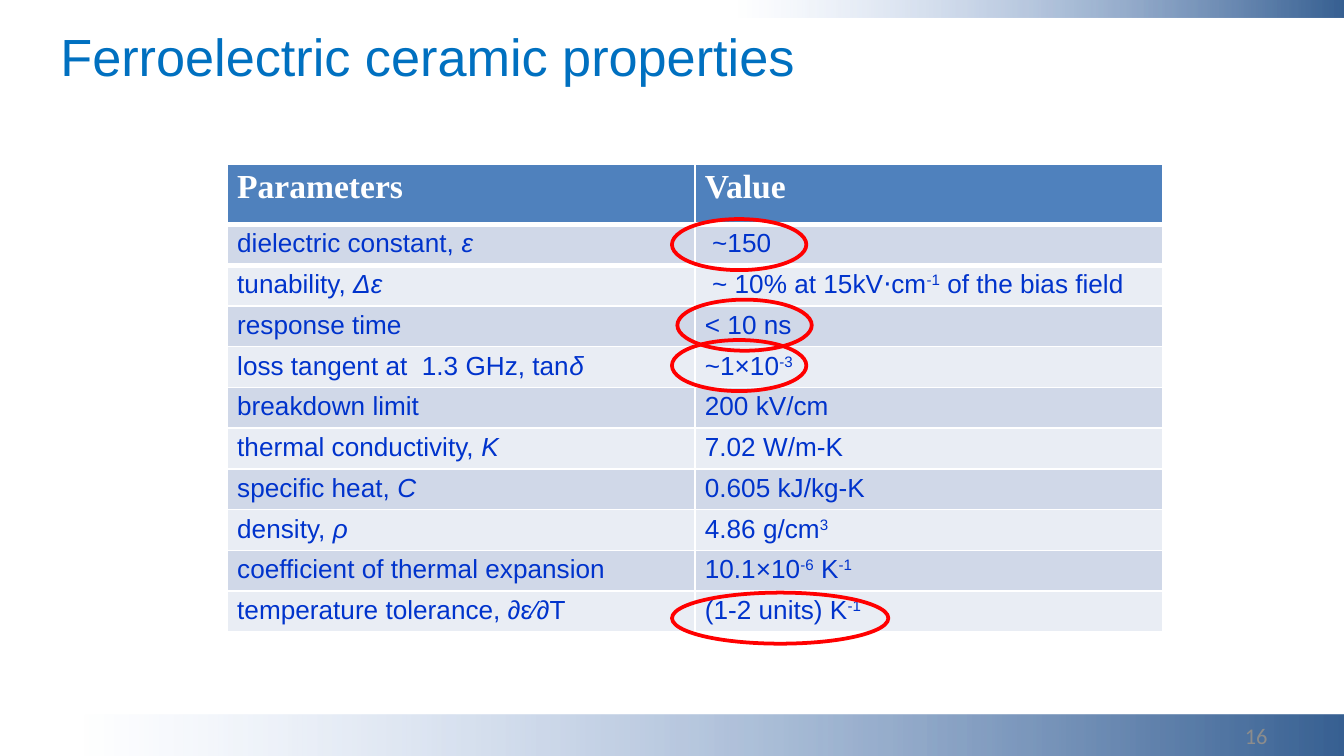
from lxml.etree import SubElement
from pptx import Presentation
from pptx.dml.color import RGBColor
from pptx.enum.shapes import MSO_SHAPE
from pptx.enum.text import MSO_ANCHOR, PP_ALIGN
from pptx.oxml.ns import qn
from pptx.util import Inches, Pt


def rgb(value):
    return RGBColor.from_string(value)


def set_font(font, name, size, color, bold=None):
    font.name, font.size, font.bold = name, Pt(size), bold
    font.color.rgb = rgb(color)


prs = Presentation()
prs.slide_width, prs.slide_height = Inches(10), Inches(10 * 9 / 16)
s = prs.slides.add_slide(prs.slide_layouts[5])

# Top and bottom bands, fading in from the left
for box in [(0.01, 5.32, 10, 0.31), (5.2, 0, 4.8, 0.13)]:
    band = s.shapes.add_shape(MSO_SHAPE.RECTANGLE, *map(Inches, box))
    band.shadow.inherit = False
    band.line.fill.background()
    band.fill.gradient()
    band.fill.gradient_angle = 0
    start, end = band.fill.gradient_stops
    start.position, end.position = 0.06, 1
    start.color.rgb, end.color.rgb = rgb("9AB5E4"), rgb("376092")
    first_color = next(band.fill._xPr.iter(qn("a:srgbClr")))
    SubElement(first_color, qn("a:alpha"), val="0")

# Title
title = s.shapes.title
title.left, title.top = Inches(0.35), Inches(-0.13)
title.width, title.height = Inches(6.35), Inches(0.83)
tf = title.text_frame
tf.text = "Ferroelectric ceramic properties"
tf.vertical_anchor = MSO_ANCHOR.BOTTOM
p = tf.paragraphs[0]
p.alignment = PP_ALIGN.LEFT
set_font(p.font, "Arial", 28, "0070C0")

# Slide number
tf = s.shapes.add_textbox(Inches(9.03), Inches(5.32), Inches(0.5), Inches(0.3)).text_frame
tf.word_wrap = True
tf.vertical_anchor = MSO_ANCHOR.MIDDLE
p = tf.paragraphs[0]
p.text = "16"
p.alignment = PP_ALIGN.RIGHT
set_font(p.font, "Calibri", 12, "8C8C8C")

# Table text: "|" separates runs, "_" starts an italic run, "^" a superscript
rows = [
    ("Parameters", "Value"),
    ("dielectric constant, |_ε", " ~150"),
    ("tunability, |_Δε", " ~ 10% at 15kV⋅cm|^-1| of the bias field"),
    ("response time", "< 10 ns"),
    ("loss tangent at  1.3 GHz, tan|_δ", "~1×10|^-3"),
    ("breakdown limit", "200 kV/cm"),
    ("thermal conductivity, |_K", "7.02 W/m-K"),
    ("specific heat, |_C", "0.605 kJ/kg-K"),
    ("density, |_ρ", "4.86 g/cm|^3"),
    ("coefficient of thermal expansion", "10.1×10|^-6| K|^-1"),
    ("temperature tolerance, ∂ε⁄∂T", "(1-2 units) K|^-1"),
]
table = s.shapes.add_table(len(rows), 2, Inches(1.69), Inches(1.22),
                           Inches(6.96), Inches(3.49)).table
for col in table.columns:
    col.width = Inches(3.48)
for i, texts in enumerate(rows):
    table.rows[i].height = Inches(0.3 if i else 0.45)
    for j, text in enumerate(texts):
        cell = table.cell(i, j)
        cell.margin_left = cell.margin_right = Pt(5.4)
        cell.margin_top = cell.margin_bottom = Pt(2.5)
        # Thick white rule between the header and the body
        if i < 2:
            edge = SubElement(cell._tc.get_or_add_tcPr(), qn("a:lnT" if i else "a:lnB"),
                              w=str(Pt(3)))
            SubElement(SubElement(edge, qn("a:solidFill")), qn("a:srgbClr"), val="FFFFFF")
        cell.fill.solid()
        cell.fill.fore_color.rgb = rgb("4F81BD" if i == 0 else "D0D8E8" if i % 2 else "E9EDF4")
        p = cell.text_frame.paragraphs[0]
        for part in text.split("|"):
            r = p.add_run()
            r.text = part.lstrip("_^")
            if i == 0:
                set_font(r.font, "Times New Roman", 18, "FFFFFF", True)
            else:
                set_font(r.font, "Arial", 14, "0033CC", False)
            if part.startswith("_"):
                r.font.italic = True
            elif part.startswith("^"):
                r.font._element.set("baseline", "30000")

# Red rings around the key values
for x, y, w in [(5.04, 2.23, 1), (5, 1.63, 1), (5, 4.41, 1.61), (5, 2.53, 1)]:
    ring = s.shapes.add_shape(MSO_SHAPE.OVAL, Inches(x), Inches(y), Inches(w), Inches(0.38))
    ring.shadow.inherit = False
    ring.fill.background()
    ring.line.color.rgb = rgb("FF0000")
    ring.line.width = Pt(2)

prs.save("out.pptx")
